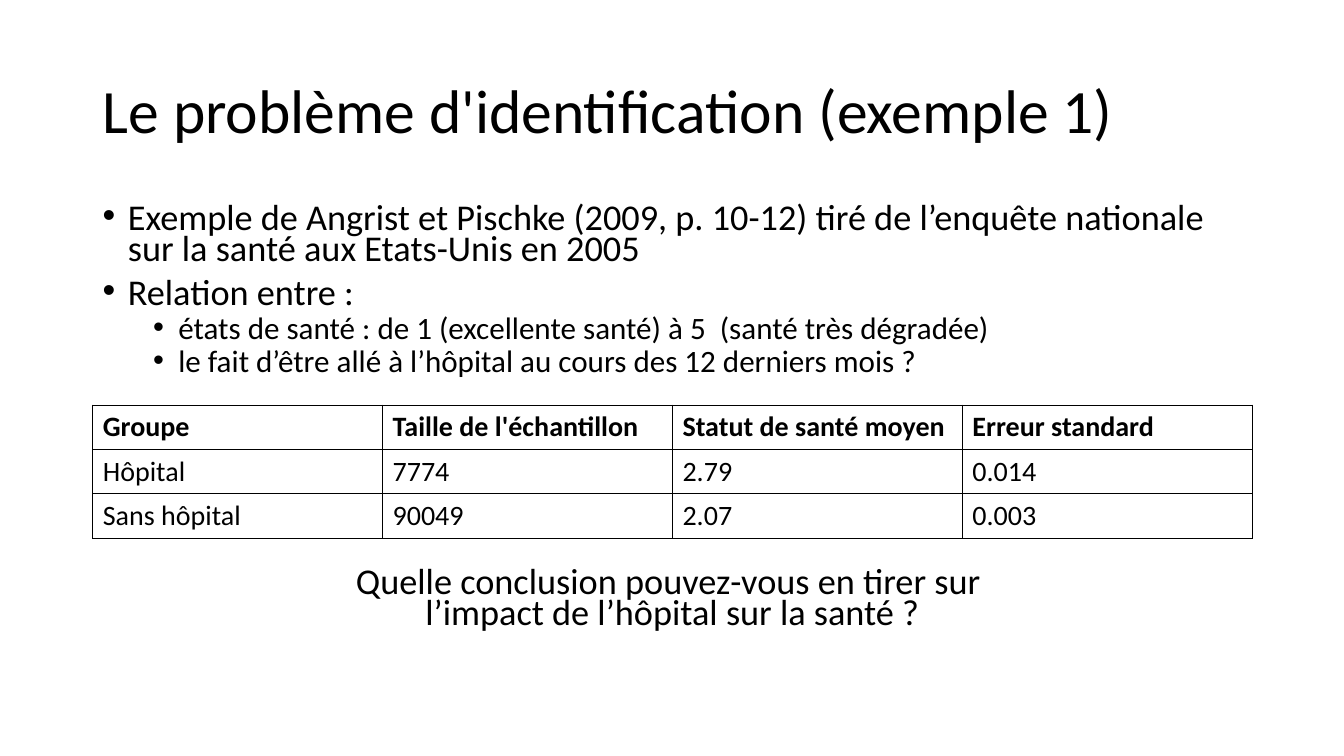
from lxml import etree
from pptx import Presentation
from pptx.dml.color import RGBColor
from pptx.enum.text import MSO_ANCHOR, PP_ALIGN
from pptx.oxml.ns import qn
from pptx.util import Inches, Pt

MIDDLE = MSO_ANCHOR.MIDDLE
TOP = MSO_ANCHOR.TOP
LEFT = PP_ALIGN.LEFT
CENTER = PP_ALIGN.CENTER

FONT = "Calibri"
BLACK = "000000"
WHITE = "FFFFFF"
MARGIN = 0.92
CONTENT_WIDTH = 11.5
ROW_HEIGHT = 0.44
BODY_SIZE = 25.9
DETAIL_SIZE = 22.2

BULLETS = [
    (0, "Exemple de Angrist et Pischke (2009, p. 10-12) tiré de l’enquête nationale "
        "sur la santé aux Etats-Unis en 2005"),
    (0, "Relation entre :"),
    (1, "états de santé : de 1 (excellente santé) à 5  (santé très dégradée)"),
    (1, "le fait d’être allé à l’hôpital au cours des 12 derniers mois ?"),
]
HEALTH_ROWS = [
    ["Groupe", "Taille de l'échantillon", "Statut de santé moyen", "Erreur standard"],
    ["Hôpital", "7774", "2.79", "0.014"],
    ["Sans hôpital", "90049", "2.07", "0.003"],
]
QUESTION = "Quelle conclusion pouvez-vous en tirer sur \nl’impact de l’hôpital sur la santé ?"


def color(value):
    return RGBColor.from_string(value)


def write_text(paragraph, text, *, size, bold=False, align=LEFT, spacing=1.0, before=0):
    paragraph.text = text
    paragraph.alignment = align
    paragraph.line_spacing = spacing
    paragraph.space_before = Pt(before)
    for run in paragraph.runs:
        run.font.name = FONT
        run.font.size = Pt(size)
        run.font.bold = bold
        run.font.color.rgb = color(BLACK)


def add_bullet(paragraph, level):
    paragraph.level = level
    properties = paragraph._p.get_or_add_pPr()
    properties.set("marL", str(Inches(0.25 + 0.5 * level)))
    properties.set("indent", str(Inches(-0.25)))
    etree.SubElement(properties, qn("a:buFont"), typeface="Arial")
    etree.SubElement(properties, qn("a:buChar"), char="•")


def add_text_frame(slide, top, height, anchor=TOP):
    shape = slide.shapes.add_textbox(
        Inches(MARGIN), Inches(top), Inches(CONTENT_WIDTH), Inches(height))
    frame = shape.text_frame
    frame.word_wrap = True
    frame.vertical_anchor = anchor
    return frame


def add_bullet_list(slide, items, top, height):
    frame = add_text_frame(slide, top, height)
    for index, (level, text) in enumerate(items):
        paragraph = frame.add_paragraph() if index else frame.paragraphs[0]
        write_text(paragraph, text, size=DETAIL_SIZE if level else BODY_SIZE,
                   spacing=0.7, before=5 if level else 10)
        add_bullet(paragraph, level)


def add_cell_borders(cell):
    properties = cell._tc.get_or_add_tcPr()
    for position, side in enumerate(("a:lnL", "a:lnR", "a:lnT", "a:lnB")):
        line = etree.Element(qn(side), w=str(Pt(1)))
        fill = etree.SubElement(line, qn("a:solidFill"))
        etree.SubElement(fill, qn("a:srgbClr"), val=BLACK)
        properties.insert(position, line)


def add_health_table(slide, rows, top):
    column_count = len(rows[0])
    table = slide.shapes.add_table(
        len(rows), column_count, Inches(MARGIN), Inches(top),
        Inches(CONTENT_WIDTH), Inches(ROW_HEIGHT * len(rows))).table
    table.horz_banding = False
    for column in table.columns:
        column.width = Inches(CONTENT_WIDTH / column_count)
    for row_index, values in enumerate(rows):
        for column_index, value in enumerate(values):
            cell = table.cell(row_index, column_index)
            cell.vertical_anchor = MIDDLE
            cell.fill.solid()
            cell.fill.fore_color.rgb = color(WHITE)
            add_cell_borders(cell)
            write_text(cell.text_frame.paragraphs[0], value, size=20, bold=row_index == 0)


def main():
    presentation = Presentation()
    presentation.slide_width = Inches(13.33)
    presentation.slide_height = Inches(7.5)
    slide = presentation.slides.add_slide(presentation.slide_layouts[6])

    title = add_text_frame(slide, 0.4, 1.45, anchor=MIDDLE)
    write_text(title.paragraphs[0], "Le problème d'identification (exemple 1)",
               size=44, spacing=0.9)
    add_bullet_list(slide, BULLETS, 2, 1.9)
    add_health_table(slide, HEALTH_ROWS, 4.02)
    question = add_text_frame(slide, 5.61, 0.8)
    write_text(question.paragraphs[0], QUESTION, size=BODY_SIZE, align=CENTER,
               spacing=0.7, before=10)

    presentation.save("out.pptx")


if __name__ == "__main__":
    main()
